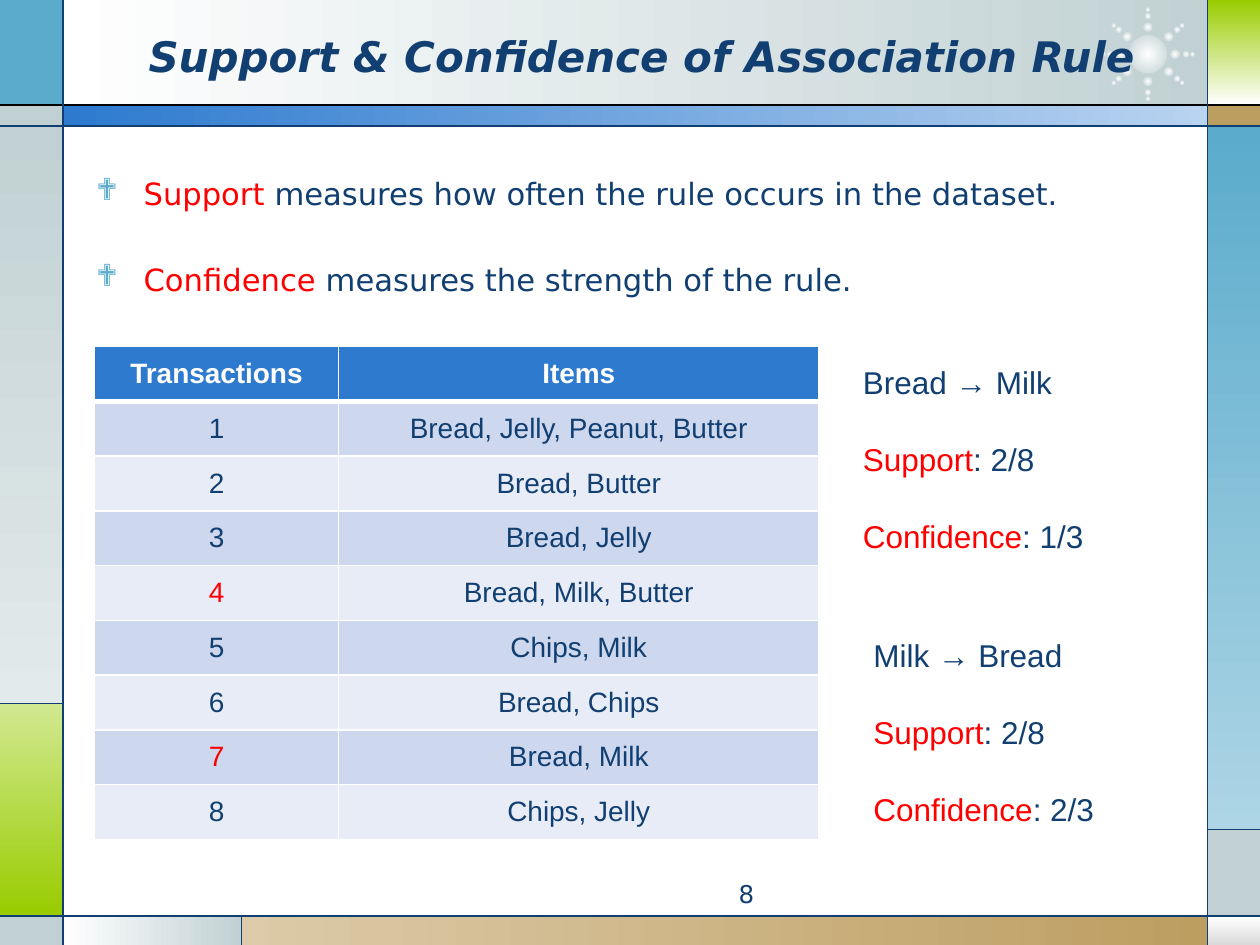
from math import cos, radians, sin

from lxml.etree import SubElement
from pptx import Presentation
from pptx.dml.color import RGBColor
from pptx.enum.shapes import MSO_CONNECTOR, MSO_SHAPE
from pptx.enum.text import MSO_ANCHOR, PP_ALIGN
from pptx.oxml.ns import qn
from pptx.util import Pt

COLOURS = {
    "navy": "113F71", "red": "FF0000", "white": "FFFFFF", "black": "000000",
    "sky": "5AABCC", "pale sky": "ADD5E5", "mist": "C1D1D3", "pale mist": "E3EAEB",
    "lime": "99CC00", "pale lime": "D1E991", "tan": "BD9E61", "pale tan": "DCCAA8",
    "blue": "2D7ACF", "pale blue": "B9D3F0", "grey": "DADADA",
    "band dark": "CDD7ED", "band light": "E8ECF6",
}
RIGHT, DOWN = 0, 270
PANELS = [
    (36, 0, 654, 60, ("white", "mist"), RIGHT),
    (0, 0, 36, 60, ("sky",), None),
    (0, 60, 36, 12, ("mist",), None),
    (0, 72, 36, 330, ("mist", "pale mist"), DOWN),
    (0, 402, 36, 121.5, ("pale lime", "lime"), DOWN),
    (0, 523.5, 36, 16.5, ("mist",), None),
    (36, 523.5, 102, 16.5, ("white", "mist"), RIGHT),
    (138, 523.5, 552, 16.5, ("pale tan", "tan"), RIGHT),
    (690, 523.5, 30, 16.5, ("white", "grey"), DOWN),
    (690, 474, 30, 49.5, ("mist",), None),
    (690, 72, 30, 402, ("sky", "pale sky"), DOWN),
    (690, 60, 30, 12, ("tan",), None),
    (690, 0, 30, 60, ("lime", "white"), DOWN),
    (36, 60, 654, 12, ("blue", "pale blue"), RIGHT),
]
RULES = [
    (0, 60, 720, 60, "black"), (0, 72, 720, 72, "navy"), (0, 523.5, 720, 523.5, "navy"),
    (36, 0, 36, 540, "navy"), (690, 0, 690, 540, "navy"), (0, 402, 36, 402, "navy"),
    (138, 523.5, 138, 540, "navy"), (690, 474, 720, 474, "navy"),
]
TRANSACTIONS = [
    "Bread, Jelly, Peanut, Butter", "Bread, Butter", "Bread, Jelly", "Bread, Milk, Butter",
    "Chips, Milk", "Bread, Chips", "Bread, Milk", "Chips, Jelly",
]
MATCHING = (4, 7)


def colour(name):
    """Return the named colour."""
    return RGBColor.from_string(COLOURS[name])


def add_filled(page, kind, left, top, width, height, names, angle=None):
    """Add an unlined shape with a plain, linear or (without angle) centred gradient fill."""
    shape = page.shapes.add_shape(kind, Pt(left), Pt(top), Pt(width), Pt(height))
    shape.shadow.inherit = False
    shape.line.fill.background()
    if len(names) == 1:
        shape.fill.solid()
        shape.fill.fore_color.rgb = colour(names[0])
        return
    shape.fill.gradient()
    for stop, name, place in zip(shape.fill.gradient_stops, names, (0, 1)):
        stop.color.rgb = colour(name)
        stop.position = place
    if angle is not None:
        shape.fill.gradient_angle = angle
        return
    gradient = shape.fill._xPr.find(qn("a:gradFill"))
    gradient.remove(gradient.find(qn("a:lin")))
    centred = SubElement(gradient, qn("a:path"), path="circle")
    SubElement(centred, qn("a:fillToRect"), l="50000", t="50000", r="50000", b="50000")


def add_star(page, x, y):
    """Add a glowing disc with eight rays of three shrinking dots."""
    def dot(across, down, size):
        add_filled(page, MSO_SHAPE.OVAL, across - size / 2, down - size / 2,
                   size, size, ("white", "mist"))

    dot(x, y, 21.6)
    for angle in (0, 40, 90, 140, 180, 220, 270, 320):
        for radius, size in ((15.5, 5.2), (21.8, 3.5), (25.5, 2.5)):
            dot(x + radius * cos(radians(angle)), y + radius * sin(radians(angle)), size)


def add_rule(page, x1, y1, x2, y2, name):
    """Add a thin straight line."""
    line = page.shapes.add_connector(MSO_CONNECTOR.STRAIGHT, Pt(x1), Pt(y1), Pt(x2), Pt(y2))
    line.line.color.rgb = colour(name)
    line.line.width = Pt(0.75)
    SubElement(line._element.spPr, qn("a:effectLst"))


def style(span, size, font, name, bold=False, italic=False):
    """Format one run."""
    span.font.size = Pt(size)
    span.font.name = font
    span.font.color.rgb = colour(name)
    span.font.bold = bold
    span.font.italic = italic


def add_text(page, left, top, width, height, lines, size, font, gap=0, first_gap=0):
    """Add a text box whose lines are lists of (text, colour) and return it."""
    box = page.shapes.add_textbox(Pt(left), Pt(top), Pt(width), Pt(height))
    box.text_frame.word_wrap = True
    box.text_frame.text = "\n".join("" for _ in lines)
    for index, (para, pieces) in enumerate(zip(box.text_frame.paragraphs, lines)):
        para.space_before = Pt(gap if index else first_gap)
        for text, name in pieces:
            span = para.add_run()
            span.text = text
            style(span, size, font, name)
    return box


def add_bullet(para):
    """Give a paragraph a hanging diamond bullet."""
    para.alignment = PP_ALIGN.JUSTIFY
    properties = para._p.get_or_add_pPr()
    properties.set("marL", str(Pt(27)))
    properties.set("indent", str(-Pt(27)))
    tint = SubElement(properties, qn("a:buClr"))
    SubElement(tint, qn("a:srgbClr"), val=COLOURS["sky"])
    SubElement(properties, qn("a:buFont"), typeface="Wingdings")
    SubElement(properties, qn("a:buChar"), char="❖")


def fill_cell(cell, text, ink, fill, heading):
    """Write, fill and border one table cell."""
    cell.text_frame.text = text
    cell.vertical_anchor = MSO_ANCHOR.MIDDLE
    para = cell.text_frame.paragraphs[0]
    para.alignment = PP_ALIGN.CENTER
    style(para.runs[0], 16, "Arial", ink, bold=heading)
    properties = cell._tc.get_or_add_tcPr()
    for side in ("lnL", "lnR", "lnT", "lnB"):
        weight = 3 if heading and side == "lnB" else 1
        border = SubElement(properties, qn(f"a:{side}"), w=str(Pt(weight)))
        solid = SubElement(border, qn("a:solidFill"))
        SubElement(solid, qn("a:srgbClr"), val=COLOURS["white"])
    cell.fill.solid()
    cell.fill.fore_color.rgb = colour(fill)


def add_transactions(page):
    """Add the table of transactions, marking those that match the rule."""
    rows = [("Transactions", "Items")]
    rows += [(str(number), items) for number, items in enumerate(TRANSACTIONS, 1)]
    table = page.shapes.add_table(len(rows), 2, Pt(54), Pt(198), Pt(414), Pt(282)).table
    for column, width in zip(table.columns, (139.5, 274.5)):
        column.width = Pt(width)
    for number, row in enumerate(rows):
        table.rows[number].height = Pt(31.3)
        fill = "band dark" if number % 2 else "band light"
        for index, text in enumerate(row):
            ink = "red" if number in MATCHING and index == 0 else "navy"
            if number == 0:
                ink, fill = "white", "blue"
            fill_cell(table.cell(number, index), text, ink, fill, number == 0)


def add_measures(page, left, top, rule, support, confidence):
    """Add a rule with its support and confidence."""
    lines = [[(rule, "navy")],
             [("Support", "red"), (f": {support}", "navy")],
             [("Confidence", "red"), (f": {confidence}", "navy")]]
    add_text(page, left, top, 150, 117, lines, 18, "Arial", gap=22.3)


def main():
    """Build and save the slide."""
    deck = Presentation()
    deck.slide_width, deck.slide_height = Pt(720), Pt(540)
    page = deck.slides.add_slide(deck.slide_layouts[6])
    for left, top, width, height, names, angle in PANELS:
        add_filled(page, MSO_SHAPE.RECTANGLE, left, top, width, height, names, angle)
    add_star(page, 656, 31)
    for rule in RULES:
        add_rule(page, *rule)

    title = add_text(page, 77.8, 9.4, 618, 44.6,
                     [[("Support & Confidence of Association Rule", "navy")]], 24, "DejaVu Sans")
    title.text_frame.vertical_anchor = MSO_ANCHOR.MIDDLE
    style(title.text_frame.paragraphs[0].runs[0], 24, "DejaVu Sans", "navy", True, True)

    definitions = [
        [("Support", "red"), (" measures how often the rule occurs in the dataset.", "navy")],
        [("Confidence", "red"), (" measures the strength of the rule.", "navy")],
    ]
    body = add_text(page, 48, 96.5, 631.5, 83.5, definitions, 17.5, "DejaVu Sans", 28.2, 3.5)
    for para in body.text_frame.paragraphs:
        add_bullet(para)

    add_transactions(page)
    add_measures(page, 486, 204, "Bread → Milk", "2/8", "1/3")
    add_measures(page, 492, 360, "Milk → Bread", "2/8", "2/3")
    number = add_text(page, 270, 499, 168, 19.5, [[("8", "navy")]], 14, "DejaVu Sans")
    number.text_frame.paragraphs[0].alignment = PP_ALIGN.RIGHT
    deck.save("out.pptx")


if __name__ == "__main__":
    main()
